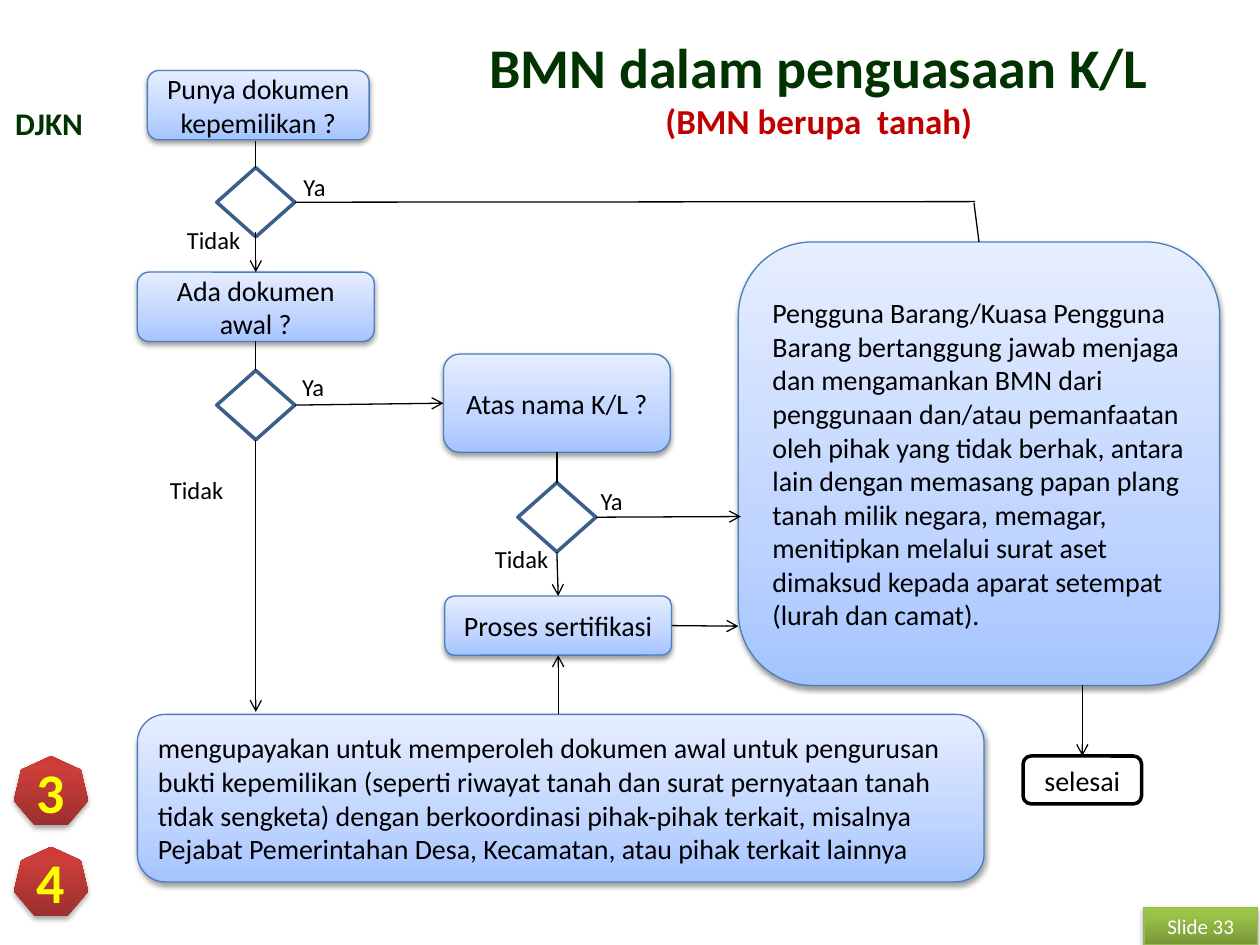
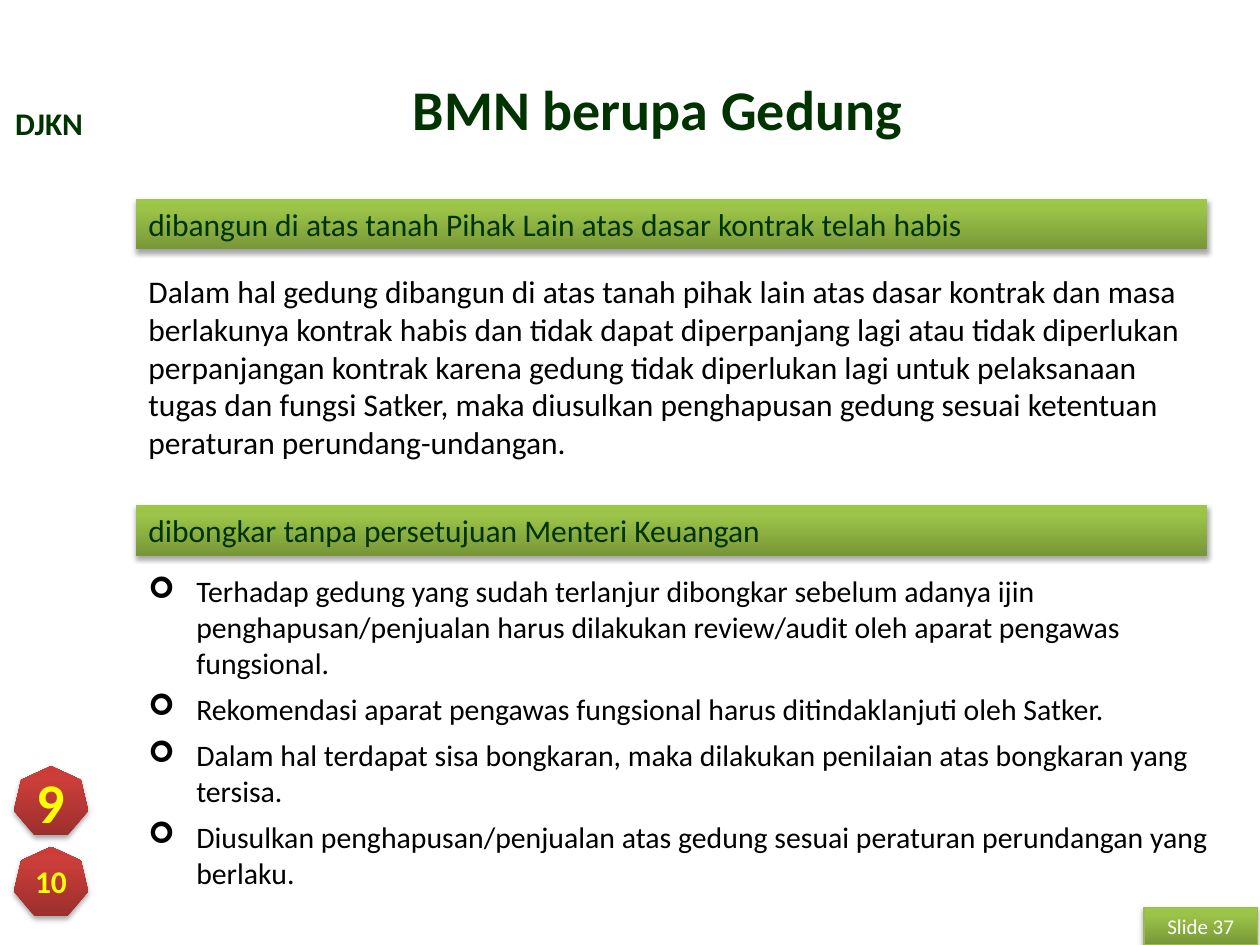
import pptx
import pptx.util
import pptx.dml.color
import pptx.enum.shapes
import pptx.enum.text
import pptx.oxml.ns
import pptx.shapes.autoshape
from lxml import etree

Inches = pptx.util.Inches
Pt = pptx.util.Pt
RGBColor = pptx.dml.color.RGBColor
SHAPE = pptx.enum.shapes.MSO_SHAPE
ALIGN = pptx.enum.text.PP_ALIGN
ANCHOR = pptx.enum.text.MSO_ANCHOR
qn = pptx.oxml.ns.qn

FONT = "Calibri"
BLACK = RGBColor(0x00, 0x00, 0x00)
WHITE = RGBColor(0xFF, 0xFF, 0xFF)
DARK_GREEN = RGBColor(0x00, 0x33, 0x00)
EDGE_GREEN = RGBColor(0x98, 0xB9, 0x55)
EDGE_BLUE = RGBColor(0x4B, 0x7E, 0xBC)
DIAMOND_BLUE = RGBColor(0x3A, 0x5F, 0x8C)
RED = RGBColor(0xC0, 0x00, 0x00)
YELLOW = RGBColor(0xFF, 0xFF, 0x00)

# Gradient stops (percent, colour), running from the bottom edge to the top
RED_STOPS = [(0, RGBColor(0x9C, 0x2F, 0x2D)), (80, RGBColor(0xCB, 0x3E, 0x3A)),
             (100, RGBColor(0xCE, 0x3B, 0x37))]
GREEN_STOPS = [(0, RGBColor(0x77, 0x97, 0x37)), (80, RGBColor(0x9B, 0xC3, 0x48)),
               (100, RGBColor(0x9D, 0xC7, 0x46))]
BLUE_STOPS = [(0, RGBColor(0xA4, 0xC4, 0xFF)), (35, RGBColor(0xBF, 0xD4, 0xFF)),
              (100, RGBColor(0xE6, 0xEE, 0xFF))]

TOP, LEFT, BOTTOM, RIGHT = range(4)
BAND_LEFT = 1.08

DUTY = ("Pengguna Barang/Kuasa Pengguna Barang bertanggung jawab menjaga dan "
        "mengamankan BMN dari penggunaan dan/atau pemanfaatan oleh pihak yang tidak "
        "berhak, antara lain dengan memasang papan plang tanah milik negara, memagar, "
        "menitipkan melalui surat aset dimaksud kepada aparat setempat (lurah dan camat).")
EFFORT = ("mengupayakan untuk memperoleh dokumen awal untuk pengurusan bukti kepemilikan "
          "(seperti riwayat tanah dan surat pernyataan tanah tidak sengketa) dengan "
          "berkoordinasi pihak-pihak terkait, misalnya Pejabat Pemerintahan Desa, "
          "Kecamatan, atau pihak terkait lainnya")
EXPIRED = ("Dalam hal gedung dibangun di atas tanah pihak lain atas dasar kontrak dan masa "
           "berlakunya kontrak habis dan tidak dapat diperpanjang lagi atau tidak "
           "diperlukan perpanjangan kontrak karena gedung tidak diperlukan lagi untuk "
           "pelaksanaan tugas dan fungsi Satker, maka diusulkan penghapusan gedung sesuai "
           "ketentuan peraturan perundang-undangan.")
DEMOLISHED = [
    "Terhadap gedung yang sudah terlanjur dibongkar sebelum adanya ijin "
    "penghapusan/penjualan harus dilakukan review/audit oleh aparat pengawas fungsional.",
    "Rekomendasi aparat pengawas fungsional harus ditindaklanjuti oleh Satker.",
    "Dalam hal terdapat sisa bongkaran, maka dilakukan penilaian atas bongkaran yang "
    "tersisa.",
    "Diusulkan penghapusan/penjualan atas gedung sesuai peraturan perundangan yang "
    "berlaku.",
]


def inches(box):
    return [Inches(length) for length in box]


def write(shape, text, size, color=BLACK, bold=False, align=ALIGN.LEFT, anchor=ANCHOR.MIDDLE):
    frame = shape.text_frame
    frame.word_wrap = True
    frame.vertical_anchor = anchor
    frame.text = text
    for paragraph in frame.paragraphs:
        paragraph.alignment = align
        for run in paragraph.runs:
            run.font.name = FONT
            run.font.size = Pt(size)
            run.font.bold = bold
            run.font.color.rgb = color


def add_text(slide, box, text, size, anchor=ANCHOR.TOP, **style):
    shape = slide.shapes.add_textbox(*inches(box))
    write(shape, text, size, anchor=anchor, **style)
    return shape


def add_plain_shape(slide, kind, box, line=None, width=0.75):
    """Add an unfilled preset shape without shadow, outlined only if line is given."""
    shape = slide.shapes.add_shape(kind, *inches(box))
    shape.shadow.inherit = False
    shape.fill.background()
    if line is None:
        shape.line.fill.background()
    else:
        shape.line.color.rgb = line
        shape.line.width = Pt(width)
    return shape


def add_glossy_shape(slide, kind, box, stops, line=None, opacity=35):
    """Add a preset shape with a vertical gradient and a soft shadow below it."""
    shape = add_plain_shape(slide, kind, box, line)
    shape.fill.gradient()
    shape.fill.gradient_angle = 90
    properties = shape._element.spPr
    stop_list = properties.find(qn("a:gradFill")).find(qn("a:gsLst"))
    for stop in list(stop_list):
        stop_list.remove(stop)
    for position, color in stops:
        stop = etree.SubElement(stop_list, qn("a:gs"), pos=str(position * 1000))
        etree.SubElement(stop, qn("a:srgbClr"), val=str(color))
    shadow = etree.SubElement(properties.find(qn("a:effectLst")), qn("a:outerShdw"),
                              blurRad=str(Pt(3.1)), dist=str(Pt(1.7)),
                              dir="5400000", rotWithShape="0")
    shade = etree.SubElement(shadow, qn("a:srgbClr"), val=str(BLACK))
    etree.SubElement(shade, qn("a:alpha"), val=str(opacity * 1000))
    return shape


def add_badge(slide, top, number, size=32):
    badge = add_glossy_shape(slide, SHAPE.HEPTAGON, (0.11, top, 0.59, 0.55), RED_STOPS)
    write(badge, number, size, YELLOW, bold=True, align=ALIGN.CENTER)
    badge.text_frame.word_wrap = False


def add_step(slide, box, text, align=ALIGN.CENTER):
    step = add_glossy_shape(slide, SHAPE.ROUNDED_RECTANGLE, box, BLUE_STOPS, EDGE_BLUE, 38)
    write(step, text, 16, align=align)
    return step


def add_decision(slide, left, top):
    return add_plain_shape(slide, SHAPE.DIAMOND, (left, top, 0.62, 0.55), DIAMOND_BLUE, 2)


def add_answer(slide, left, top, text, width=0.78, align=ALIGN.CENTER):
    add_text(slide, (left, top, width, 0.34), text, 14, align=align)


def add_link(slide, start, end, arrow=True):
    """Draw a line; each end is an (x, y) point or a (shape, side) pair."""
    def is_joined(place):
        return isinstance(place[0], pptx.shapes.autoshape.Shape)

    points = [(0, 0) if is_joined(place) else place for place in (start, end)]
    link = slide.shapes.add_connector(pptx.enum.shapes.MSO_CONNECTOR.STRAIGHT,
                                      *inches(points[0] + points[1]))
    if is_joined(start):
        link.begin_connect(*start)
    if is_joined(end):
        link.end_connect(*end)
    link.line.color.rgb = BLACK
    link.line.width = Pt(0.75)
    if arrow:
        etree.SubElement(link.line._get_or_add_ln(), qn("a:tailEnd"), type="arrow")
    etree.SubElement(link._element.spPr, qn("a:effectLst"))


def add_band(slide, top, text):
    band = add_glossy_shape(slide, SHAPE.RECTANGLE, (BAND_LEFT, top, 8.5, 0.4), GREEN_STOPS)
    write(band, text, 18, DARK_GREEN)


def add_bullets(slide, box, items):
    frame = add_text(slide, box, "\n".join(items), 17).text_frame
    for index, paragraph in enumerate(frame.paragraphs):
        properties = paragraph._p.get_or_add_pPr()
        properties.set("marL", str(Inches(0.38)))
        properties.set("indent", str(-Inches(0.38)))
        etree.SubElement(properties, qn("a:buFont"), typeface="Wingdings")
        etree.SubElement(properties, qn("a:buChar"), char="➢")
        if index:
            paragraph.space_before = Pt(6)


def add_page(presentation, title, title_box, number):
    """Add a slide with its title, agency label and slide number."""
    slide = presentation.slides.add_slide(presentation.slide_layouts[6])
    heading = {"color": DARK_GREEN, "bold": True, "align": ALIGN.CENTER}
    add_text(slide, (0, 0.78, 0.78, 0.4), "DJKN", 18, **heading)
    title_shape = add_text(slide, title_box, title, 32, ANCHOR.MIDDLE, **heading)
    footer = add_glossy_shape(slide, SHAPE.RECTANGLE, (9.08, 7.2, 0.9, 0.3),
                              GREEN_STOPS, EDGE_GREEN)
    write(footer, f"Slide {number}", 12, WHITE, align=ALIGN.CENTER)
    return slide, title_shape


def build_land_slide(presentation):
    slide, title = add_page(presentation, "BMN dalam penguasaan K/L\n(BMN berupa  tanah)",
                            (3.5, 0.3, 6, 0.78), 33)
    subtitle = title.text_frame.paragraphs[1].runs[0].font
    subtitle.size = Pt(20)
    subtitle.color.rgb = RED
    add_badge(slide, 6, "3")
    add_badge(slide, 6.72, "4")

    owned = add_step(slide, (1.17, 0.56, 1.76, 0.55), "Punya dokumen kepemilikan ?")
    early = add_step(slide, (1.09, 2.16, 1.88, 0.55), "Ada dokumen awal ?")
    named = add_step(slide, (3.52, 2.81, 1.8, 0.78), "Atas nama K/L ?")
    certify = add_step(slide, (3.53, 4.73, 1.8, 0.47), "Proses sertifikasi")
    add_step(slide, (1.09, 5.67, 6.72, 1.33), EFFORT, ALIGN.LEFT)
    duty = add_step(slide, (5.86, 1.92, 3.82, 3.52), DUTY, ALIGN.LEFT)
    finish = add_plain_shape(slide, SHAPE.ROUNDED_RECTANGLE, (8.12, 6, 0.94, 0.38), BLACK, 2)
    finish.fill.solid()
    finish.fill.fore_color.rgb = WHITE
    write(finish, "selesai", 16, align=ALIGN.CENTER)

    owned_choice = add_decision(slide, 1.72, 1.33)
    early_choice = add_decision(slide, 1.72, 2.94)
    named_choice = add_decision(slide, 4.11, 3.83)

    add_link(slide, (2.03, 1.12), (owned_choice, TOP), arrow=False)
    add_link(slide, (owned_choice, RIGHT), (7.74, 1.6), arrow=False)
    add_link(slide, (7.73, 1.61), (duty, TOP), arrow=False)
    add_link(slide, (2.03, 1.84), (early, TOP))
    add_link(slide, (early, BOTTOM), (early_choice, TOP), arrow=False)
    add_link(slide, (early_choice, RIGHT), (named, LEFT))
    add_link(slide, (early_choice, BOTTOM), (2.03, 5.65))
    add_link(slide, (named, BOTTOM), (named_choice, TOP), arrow=False)
    add_link(slide, (named_choice, RIGHT), (5.88, 4.1))
    add_link(slide, (named_choice, BOTTOM), (certify, TOP))
    add_link(slide, (4.43, 5.67), (certify, BOTTOM))
    add_link(slide, (certify, RIGHT), (5.86, 4.97))
    add_link(slide, (8.59, 5.44), (finish, TOP))

    add_answer(slide, 2.31, 1.32, "Ya", align=ALIGN.LEFT)
    add_answer(slide, 2.25, 2.9, "Ya", 0.47)
    add_answer(slide, 4.62, 3.81, "Ya", 0.47)
    add_answer(slide, 1.25, 1.74, "Tidak", 0.89)
    add_answer(slide, 1.25, 3.72, "Tidak", align=ALIGN.LEFT)
    add_answer(slide, 3.67, 4.27, "Tidak", align=ALIGN.RIGHT)


def build_building_slide(presentation):
    slide, _ = add_page(presentation, "BMN berupa Gedung", (0.94, 0.3, 8.56, 1.11), 37)
    add_badge(slide, 6.08, "9")
    add_badge(slide, 6.72, "10", 18)
    add_band(slide, 1.58, "dibangun di atas tanah Pihak Lain atas dasar kontrak telah habis")
    add_text(slide, (BAND_LEFT, 2.11, 8.42, 1.64), EXPIRED, 18)
    add_band(slide, 4.01, "dibongkar tanpa persetujuan Menteri Keuangan")
    add_bullets(slide, (BAND_LEFT, 4.5, 8.67, 2.17), DEMOLISHED)


def main():
    presentation = pptx.Presentation()
    presentation.slide_width = Inches(10)
    presentation.slide_height = Inches(7.5)
    build_land_slide(presentation)
    build_building_slide(presentation)
    presentation.save("out.pptx")


if __name__ == "__main__":
    main()
